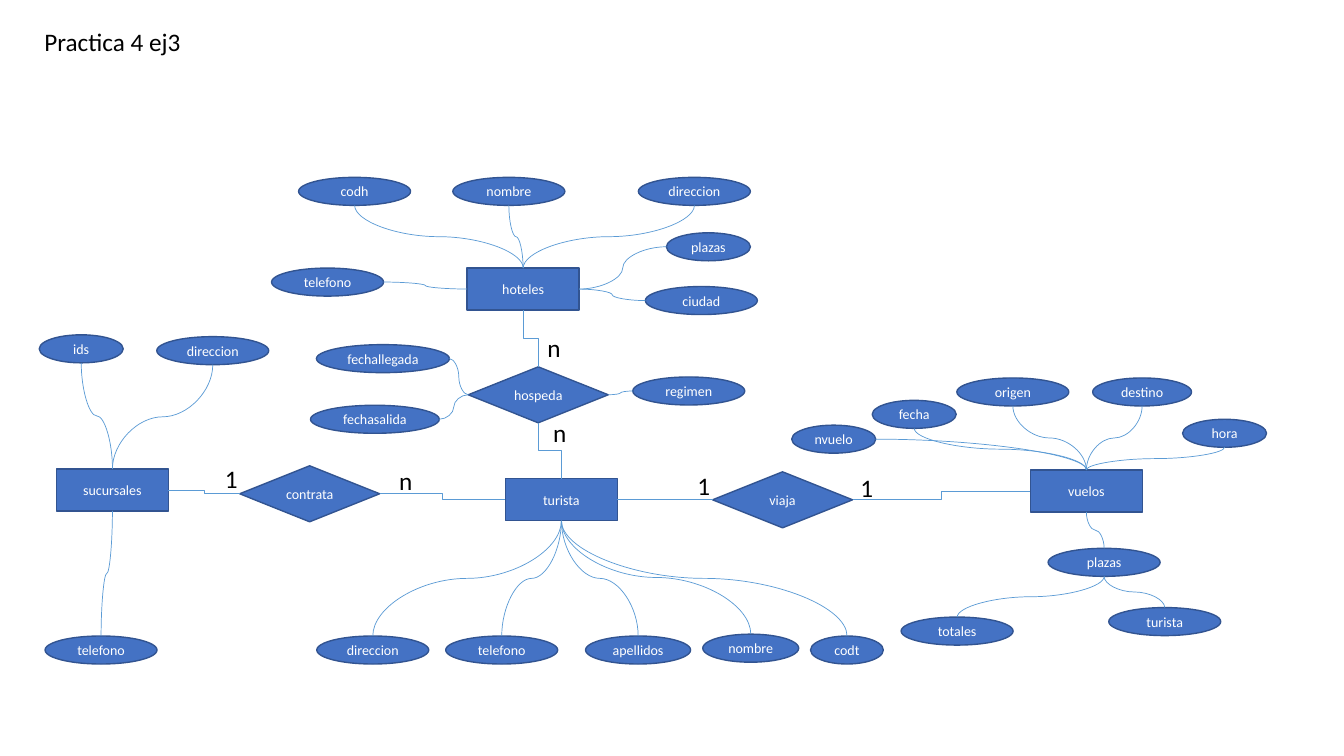
import lxml.etree
import pptx
import pptx.dml.color
import pptx.enum.shapes
import pptx.enum.text
import pptx.oxml.ns
import pptx.util

CELL = pptx.util.Pt(10)
COLUMNS, ROWS = 96, 54
KINDS = pptx.enum.shapes.MSO_SHAPE
ROUTES = pptx.enum.shapes.MSO_CONNECTOR
ALIGN = pptx.enum.text.PP_ALIGN
ANCHOR = pptx.enum.text.MSO_ANCHOR
FIT = pptx.enum.text.MSO_AUTO_SIZE
SIDES = {"top": (0.5, 0), "left": (0, 0.5), "bottom": (0.5, 1), "right": (1, 0.5)}
NODE_FRAME = {
    "margin_left": 0, "margin_right": 0, "margin_top": 0, "margin_bottom": 0,
    "word_wrap": True, "vertical_anchor": ANCHOR.MIDDLE,
}
PLAIN_FRAME = {
    "word_wrap": False, "vertical_anchor": ANCHOR.TOP, "auto_size": FIT.SHAPE_TO_FIT_TEXT,
}


def cells(count):
    return pptx.util.Emu(round(count * CELL))


def color(hex_value):
    return pptx.dml.color.RGBColor.from_string(hex_value)


def apply(target, values):
    for attribute, value in values.items():
        setattr(target, attribute, value)


def write(shape, text, frame, size, ink, align):
    apply(shape.text_frame, frame)
    paragraph = shape.text_frame.paragraphs[0]
    paragraph.alignment = align
    run = paragraph.add_run()
    run.text = text
    apply(run.font, {"name": "Calibri", "size": pptx.util.Pt(size)})
    run.font.color.rgb = color(ink)


def add_node(slide, kind, text, left, top, width, height):
    node = slide.shapes.add_shape(kind, *map(cells, (left, top, width, height)))
    node.shadow.inherit = False
    node.fill.solid()
    node.fill.fore_color.rgb = color("4472C4")
    node.line.color.rgb = color("325491")
    node.line.width = pptx.util.Pt(1)
    write(node, text, NODE_FRAME, 10, "FFFFFF", ALIGN.CENTER)
    return node


def add_entity(slide, text, left, top):
    return add_node(slide, KINDS.RECTANGLE, text, left, top, 8, 3)


def add_relation(slide, text, left, top):
    return add_node(slide, KINDS.DIAMOND, text, left, top, 10, 4)


def add_cardinality(slide, text, left, top):
    label = slide.shapes.add_textbox(*map(cells, (left, top, 2.4, 2.9)))
    write(label, text, PLAIN_FRAME, 18, "000000", ALIGN.LEFT)


def side_point(node, side):
    across, down = SIDES[side]
    return node.left + node.width * across, node.top + node.height * down


def site_index(node, side):
    step = 2 if node.auto_shape_type == KINDS.OVAL else 1
    return list(SIDES).index(side) * step


def link(slide, route, *ends):
    upright = all(side in ("top", "bottom") for _, side in ends)
    axis = 1 if upright else 0
    ends = sorted(ends, key=lambda end: side_point(*end)[axis])
    (x1, y1), (x2, y2) = (side_point(*end) for end in ends)
    box = x1, y1, x2, y2
    turn = 0
    if upright:
        middle_x, middle_y = (x1 + x2) / 2, (y1 + y2) / 2
        turn = 90 if x2 < x1 else 270
        reach = (y2 - y1) / 2 * (1 if turn == 90 else -1)
        spread = abs(x2 - x1) / 2
        box = middle_x - reach, middle_y - spread, middle_x + reach, middle_y + spread
    line = slide.shapes.add_connector(route, *map(round, box))
    line.line.color.rgb = color("5B9BD5")
    line.line.width = pptx.util.Pt(0.5)
    properties = line._element.spPr
    if turn:
        properties.xfrm.set("rot", str(turn * 60000))
    if not upright and any(side in ("top", "bottom") for _, side in ends):
        properties.find(pptx.oxml.ns.qn("a:prstGeom")).set("prst", "curvedConnector2")
    lxml.etree.SubElement(properties, pptx.oxml.ns.qn("a:effectLst"))
    joints = line._element.nvCxnSpPr.cNvCxnSpPr
    for tag, (node, side) in zip(("a:stCxn", "a:endCxn"), ends):
        joint = lxml.etree.SubElement(joints, pptx.oxml.ns.qn(tag))
        joint.set("id", str(node.shape_id))
        joint.set("idx", str(site_index(node, side)))


def add_attributes(slide, owner, owner_side, own_side, entries):
    attributes = []
    for text, left, top, width in entries:
        attribute = add_node(slide, KINDS.OVAL, text, left, top, width, 2)
        link(slide, ROUTES.CURVE, (attribute, own_side), (owner, owner_side))
        attributes.append(attribute)
    return attributes


def add_title(slide, text):
    title = slide.shapes.title
    bounds = map(cells, (2.45, 1.5, 11.3, 2.9))
    apply(title, dict(zip(("left", "top", "width", "height"), bounds)))
    write(title, text, PLAIN_FRAME, 18, "000000", ALIGN.LEFT)


def main():
    deck = pptx.Presentation()
    apply(deck, {"slide_width": cells(COLUMNS), "slide_height": cells(ROWS)})
    slide = deck.slides.add_slide(deck.slide_layouts[5])
    add_title(slide, "Practica 4 ej3")

    sucursales = add_entity(slide, "sucursales", 4.03, 33.5)
    hoteles = add_entity(slide, "hoteles", 33.37, 19.15)
    vuelos = add_entity(slide, "vuelos", 73.6, 33.57)
    turista = add_entity(slide, "turista", 36.1, 34.2)
    contrata = add_relation(slide, "contrata", 17.12, 33.27)
    viaja = add_relation(slide, "viaja", 50.9, 33.7)
    hospeda = add_relation(slide, "hospeda", 33.45, 26.2)

    add_attributes(slide, sucursales, "top", "bottom", [
        ("ids", 2.8, 23.92, 6), ("direccion", 11.2, 24.05, 8)])
    add_attributes(slide, sucursales, "bottom", "top", [("telefono", 3.22, 45.43, 8)])
    add_attributes(slide, hoteles, "top", "bottom", [
        ("codh", 21.33, 12.67, 8), ("nombre", 32.35, 12.67, 8), ("direccion", 45.6, 12.67, 8)])
    add_attributes(slide, hoteles, "left", "right", [("telefono", 19.4, 19.15, 8)])
    add_attributes(slide, hoteles, "right", "left", [
        ("ciudad", 46.1, 20.47, 8), ("plazas", 47.6, 16.63, 6)])
    add_attributes(slide, vuelos, "top", "right", [("nvuelo", 56.55, 30.37, 6)])
    add_attributes(slide, vuelos, "top", "bottom", [
        ("fecha", 62.3, 28.6, 6), ("hora", 84.47, 29.95, 6),
        ("origen", 68.35, 27, 8), ("destino", 78.05, 27, 7.06)])
    plazas, = add_attributes(slide, vuelos, "bottom", "top", [("plazas", 74.87, 39.17, 8)])
    add_attributes(slide, plazas, "bottom", "top", [
        ("totales", 64.37, 44.08, 8), ("turista", 79.2, 43.4, 8)])
    add_attributes(slide, turista, "bottom", "top", [
        ("codt", 57.9, 45.43, 5.2), ("nombre", 50.2, 45.3, 6.85),
        ("apellidos", 41.83, 45.43, 7.5), ("direccion", 22.63, 45.43, 8),
        ("telefono", 31.84, 45.43, 8)])
    add_attributes(slide, hospeda, "left", "right", [
        ("fechallegada", 22.6, 24.62, 9.5), ("fechasalida", 22.18, 28.95, 9.2)])
    add_attributes(slide, hospeda, "right", "left", [("regimen", 45.2, 26.93, 8)])

    for first, second in [(sucursales, contrata), (contrata, turista),
                          (turista, viaja), (viaja, vuelos)]:
        link(slide, ROUTES.ELBOW, (first, "right"), (second, "left"))
    for upper, lower in [(hoteles, hospeda), (hospeda, turista)]:
        link(slide, ROUTES.ELBOW, (upper, "bottom"), (lower, "top"))

    for text, left, top in [("n", 38.8, 29.45), ("n", 38.38, 23.35), ("1", 15.35, 32.75),
                            ("1", 49.1, 33.25), ("1", 60.75, 33.35), ("n", 27.8, 32.85)]:
        add_cardinality(slide, text, left, top)
    deck.save("out.pptx")


if __name__ == "__main__":
    main()
